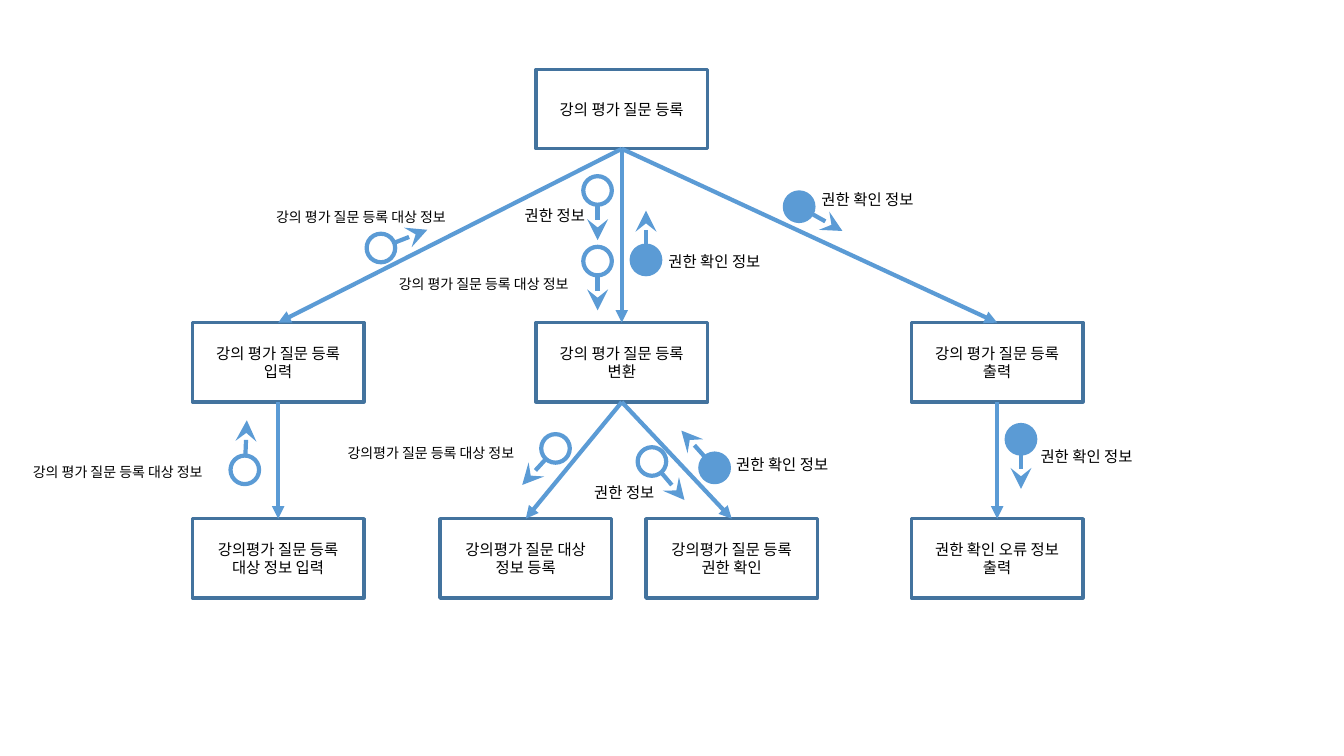
from math import hypot

from lxml.etree import SubElement
from pptx import Presentation
from pptx.dml.color import RGBColor
from pptx.enum.shapes import MSO_CONNECTOR, MSO_SHAPE
from pptx.enum.text import MSO_ANCHOR, MSO_AUTO_SIZE, PP_ALIGN
from pptx.oxml.ns import qn
from pptx.util import Cm, Pt

BLUE = RGBColor(0x5B, 0x9B, 0xD5)
DARK_BLUE = RGBColor(0x43, 0x73, 0x9E)
BLACK = RGBColor(0, 0, 0)
FONT = "Noto Sans CJK KR"

BOX_W, BOX_H = 4.32, 2.0
TOP, MIDDLE, BOTTOM = 1.75, 8.13, 13.07  # top edges of the rows
LEFT, CENTER, RIGHT = 7.01, 15.67, 25.13  # centres of the columns
RADIUS = 0.36

prs = Presentation()
prs.slide_width, prs.slide_height = Cm(33.87), Cm(19.05)
s = prs.slides.add_slide(prs.slide_layouts[6])


def write(sp, text, size, align):
    p = sp.text_frame.paragraphs[0]
    p.text = text
    p.alignment = align
    p.font.size = Pt(size)
    p.font.name = FONT
    p.font.color.rgb = BLACK
    SubElement(p.font._element, qn("a:ea"), typeface=FONT)


def arrow(x1, y1, x2, y2, head, size):
    c = s.shapes.add_connector(MSO_CONNECTOR.STRAIGHT, Cm(x1), Cm(y1), Cm(x2), Cm(y2))
    c.line.color.rgb = BLUE
    c.line.width = Pt(3)
    SubElement(c.line._get_or_add_ln(), qn("a:tailEnd"), type=head, w=size, len=size)
    SubElement(c._element.spPr, qn("a:effectLst"))


# Modules: text, centre x, top, centre x of the parent, top of the parent
modules = [
    ("강의 평가 질문 등록", CENTER, TOP, None, None),
    ("강의 평가 질문 등록 입력", LEFT, MIDDLE, CENTER, TOP),
    ("강의 평가 질문 등록 변환", CENTER, MIDDLE, CENTER, TOP),
    ("강의 평가 질문 등록 출력", RIGHT, MIDDLE, CENTER, TOP),
    ("강의평가 질문 등록 대상 정보 입력", LEFT, BOTTOM, LEFT, MIDDLE),
    ("강의평가 질문 대상 정보 등록", 13.25, BOTTOM, CENTER, MIDDLE),
    ("강의평가 질문 등록 권한 확인", 18.44, BOTTOM, CENTER, MIDDLE),
    ("권한 확인 오류 정보 출력", RIGHT, BOTTOM, RIGHT, MIDDLE),
]
for text, x, y, parent_x, parent_y in modules:
    sp = s.shapes.add_shape(MSO_SHAPE.RECTANGLE, Cm(x - BOX_W / 2), Cm(y), Cm(BOX_W), Cm(BOX_H))
    sp.shadow.inherit = False
    sp.fill.background()
    sp.line.color.rgb = DARK_BLUE
    sp.line.width = Pt(2.5)
    sp.text_frame.word_wrap = True
    sp.text_frame.vertical_anchor = MSO_ANCHOR.MIDDLE
    write(sp, text, 11, PP_ALIGN.CENTER)
    if parent_x is not None:
        arrow(parent_x, parent_y + BOX_H, x, y, "triangle", "med")

# Label styles: width, height, font size, alignment
labels = {
    "권한 정보": (2.21, 0.74, 11, PP_ALIGN.CENTER),
    "권한 확인 정보": (3.15, 0.74, 11, PP_ALIGN.CENTER),
    "강의 평가 질문 등록 대상 정보": (5.41, 0.69, 10, PP_ALIGN.LEFT),
    "강의평가 질문 등록 대상 정보": (5.28, 0.69, 10, PP_ALIGN.LEFT),
}
# Flows: label, its left and top, circle centre, arrow tip
flows = [
    ("권한 정보", 12.88, 5.08, 15.06, 4.8, 15.06, 6.05),
    ("강의 평가 질문 등록 대상 정보", 9.8, 6.81, 15.06, 6.58, 15.06, 7.82),
    ("강의 평가 질문 등록 대상 정보", 6.71, 5.13, 9.6, 6.25, 10.77, 5.79),
    ("권한 확인 정보", 16.43, 6.22, 16.28, 6.55, 16.28, 5.31),
    ("권한 확인 정보", 20.29, 4.67, 20.14, 5.21, 21.23, 5.82),
    ("강의 평가 질문 등록 대상 정보", 0.58, 11.56, 6.17, 11.84, 6.22, 10.59),
    ("강의평가 질문 등록 대상 정보", 8.51, 11.07, 14.0, 11.3, 13.16, 12.22),
    ("권한 정보", 14.63, 12.04, 16.43, 11.63, 17.25, 12.6),
    ("권한 확인 정보", 18.14, 11.35, 18.01, 11.79, 17.17, 10.85),
    ("권한 확인 정보", 25.81, 11.15, 25.73, 11.07, 25.73, 12.32),
]
for text, left, top, x, y, tip_x, tip_y in flows:
    # Circle: filled for control flags, hollow for data
    sp = s.shapes.add_shape(MSO_SHAPE.OVAL, Cm(x - RADIUS), Cm(y - RADIUS), Cm(2 * RADIUS), Cm(2 * RADIUS))
    sp.shadow.inherit = False
    if text == "권한 확인 정보":
        sp.fill.solid()
        sp.fill.fore_color.rgb = BLUE
    else:
        sp.fill.background()
    sp.line.color.rgb = BLUE
    sp.line.width = Pt(3)

    # Arrow from the edge of the circle
    k = RADIUS / hypot(tip_x - x, tip_y - y)
    arrow(x + k * (tip_x - x), y + k * (tip_y - y), tip_x, tip_y, "stealth", "lg")

    # Label
    width, height, size, align = labels[text]
    sp = s.shapes.add_textbox(Cm(left), Cm(top), Cm(width), Cm(height))
    sp.text_frame.word_wrap = False
    sp.text_frame.auto_size = MSO_AUTO_SIZE.SHAPE_TO_FIT_TEXT
    write(sp, text, size, align)

prs.save("out.pptx")
